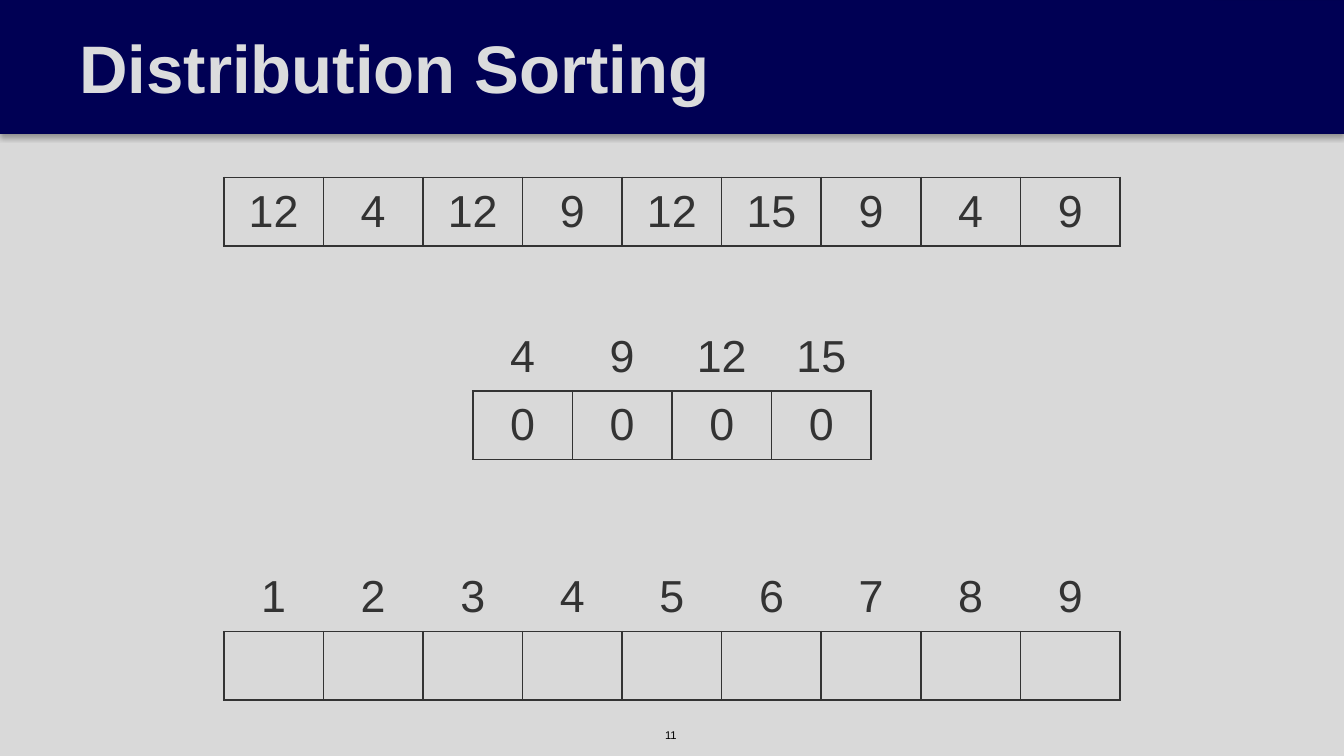
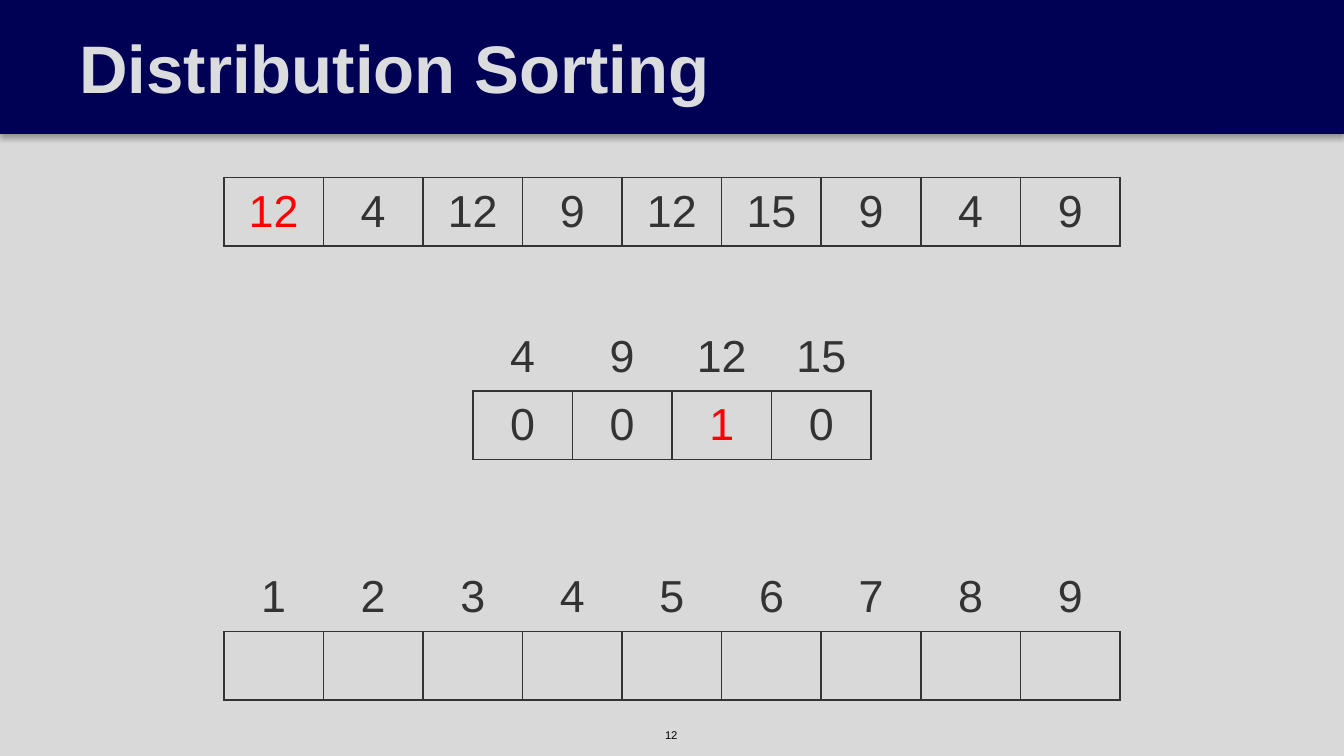
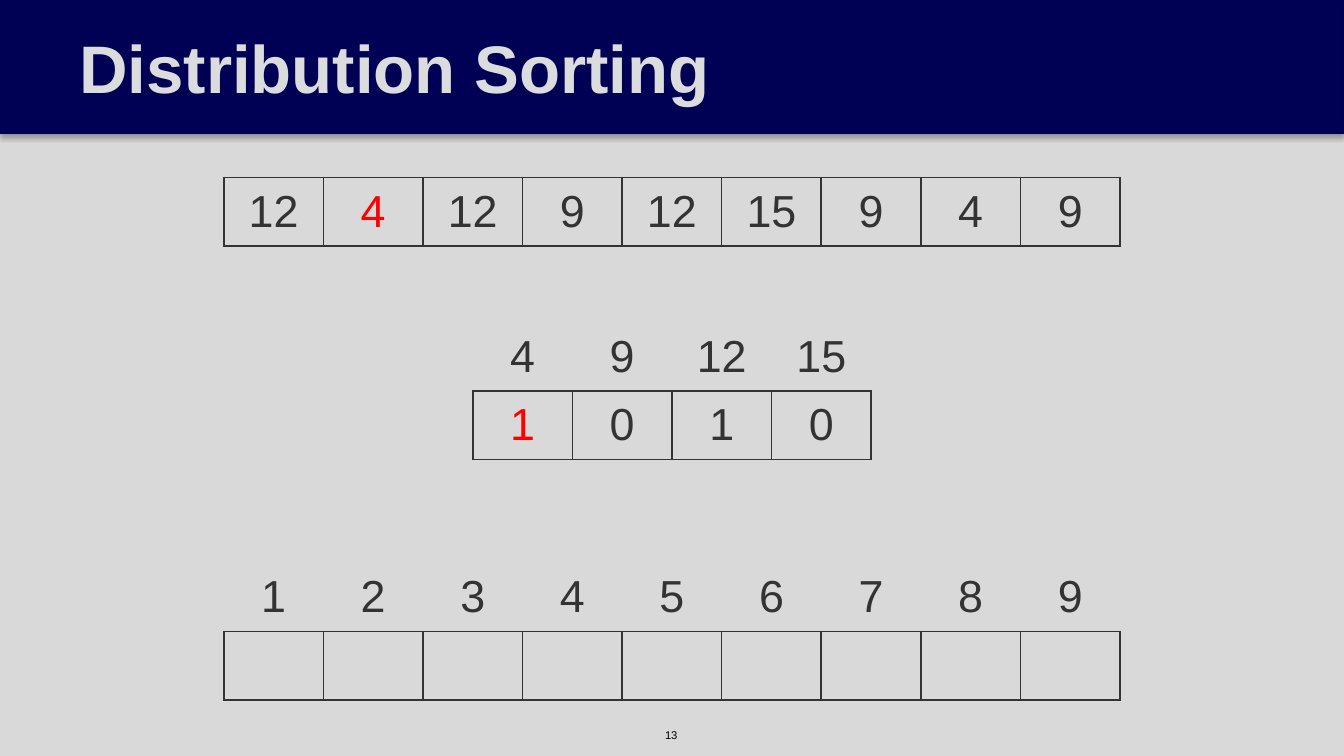
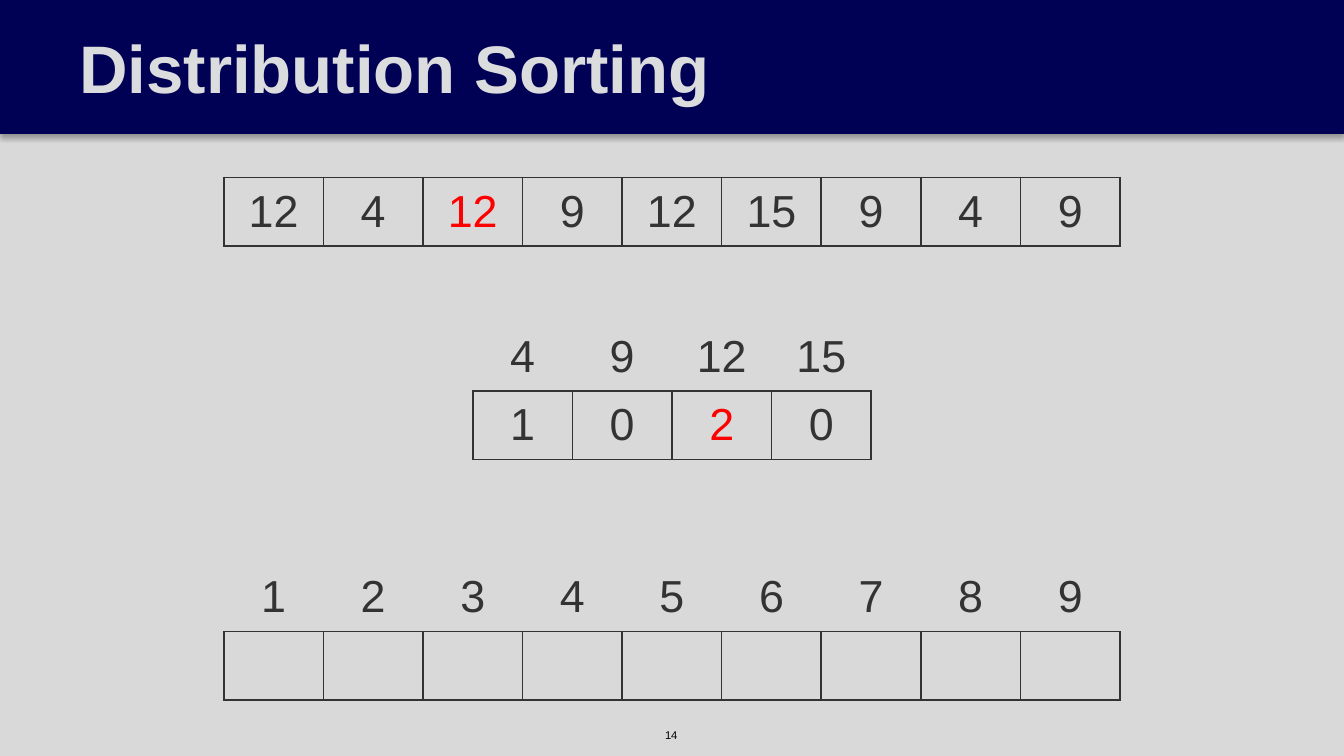
from lxml import etree
from pptx import Presentation
from pptx.dml.color import RGBColor as Rgb
from pptx.enum.shapes import MSO_SHAPE as Preset
from pptx.enum.text import MSO_ANCHOR as Anchor, PP_ALIGN as Align
from pptx.oxml import parse_xml
from pptx.oxml.ns import nsdecls, qn
from pptx.util import Inches, Pt

COLORS = {
    "background": "D9D9D9",
    "band": "000054",
    "band_edge": "000052",
    "title": "DBDCDD",
    "ink": "333333",
    "active": "FF0000",
    "number": "000000",
}
TITLE_FONT = {"name": "Arial", "size": Pt(36), "bold": True}
CELL_FONT = {"name": "Arial", "size": Pt(24)}
NUMBER_FONT = {"name": "Arial", "size": Pt(6)}

SLIDE_WIDTH = 10
SLIDE_HEIGHT = SLIDE_WIDTH * 9 / 16
BAND_HEIGHT = 0.99
CELL_WIDTH, CELL_HEIGHT = 6.67 / 9, 0.51
NO_TABLE_STYLE = "{2D5ABB26-0587-4C30-8999-92F81FD0307C}"

VALUES = [12, 4, 12, 9, 12, 15, 9, 4, 9]
KEYS = sorted(set(VALUES))
POSITIONS = list(range(1, len(VALUES) + 1))
FIRST_NUMBER = 11


def write(frame, text, font, color):
    para = frame.paragraphs[0]
    span = para.add_run()
    span.text = str(text)
    for name, value in font.items():
        setattr(span.font, name, value)
    span.font.color.rgb = Rgb.from_string(COLORS[color])
    return para


def add_array(page, top, cells, labels=None, active=None):
    """Draw a centred row of bordered cells, with optional labels above."""
    rows = [labels, cells] if labels else [cells]
    width = len(cells) * CELL_WIDTH
    frame = page.shapes.add_table(
        len(rows), len(cells), Inches((SLIDE_WIDTH - width) / 2), Inches(top),
        Inches(width), Inches(len(rows) * CELL_HEIGHT))
    table = frame.table
    table.first_row = table.horz_banding = False
    table._tbl.tblPr.find(qn("a:tableStyleId")).text = NO_TABLE_STYLE
    for column in table.columns:
        column.width = Inches(CELL_WIDTH)
    for row_index, row in enumerate(rows):
        table.rows[row_index].height = Inches(CELL_HEIGHT)
        is_array = row is cells
        for column_index, value in enumerate(row):
            cell = table.cell(row_index, column_index)
            cell.vertical_anchor = Anchor.MIDDLE
            cell.fill.background()
            if value != "":
                highlighted = is_array and column_index == active
                para = write(cell.text_frame, value, CELL_FONT,
                             "active" if highlighted else "ink")
                para.alignment = Align.CENTER
            # Labels only share the border below them
            sides = ["L", "R", "T", "B"] if is_array else ["B"]
            for place, side in enumerate(sides):
                cell._tc.get_or_add_tcPr().insert(place, parse_xml(
                    f'<a:ln{side} {nsdecls("a")} w="{Pt(1)}"><a:solidFill>'
                    f'<a:srgbClr val="{COLORS["ink"]}"/>'
                    f'</a:solidFill></a:ln{side}>'))


deck = Presentation()
deck.slide_width, deck.slide_height = Inches(SLIDE_WIDTH), Inches(SLIDE_HEIGHT)
counts = dict.fromkeys(KEYS, 0)

# One page for the start, then one for each value counted
for step in range(4):
    page = deck.slides.add_slide(deck.slide_layouts[6])
    page.background.fill.solid()
    page.background.fill.fore_color.rgb = Rgb.from_string(COLORS["background"])

    # Slide number
    box = page.shapes.add_textbox(
        Inches(4.85), Inches(5.37), Inches(0.3), Inches(0.2))
    box.text_frame.word_wrap = False
    write(box.text_frame, FIRST_NUMBER + step, NUMBER_FONT, "number")

    # Title band with a soft shadow below
    band = page.shapes.add_shape(
        Preset.RECTANGLE, 0, 0, Inches(SLIDE_WIDTH), Inches(BAND_HEIGHT))
    band.fill.solid()
    band.fill.fore_color.rgb = Rgb.from_string(COLORS["band"])
    band.line.color.rgb = Rgb.from_string(COLORS["band_edge"])
    band.line.width = Pt(0.75)
    band.shadow.inherit = False
    effects = band._element.spPr.find(qn("a:effectLst"))
    shadow = etree.SubElement(
        effects, qn("a:outerShdw"), blurRad=str(Pt(3.1)), dist=str(Pt(1.8)),
        dir="5400000", algn="t", rotWithShape="0")
    shade = etree.SubElement(shadow, qn("a:srgbClr"), val="000000")
    etree.SubElement(shade, qn("a:alpha"), val="35000")

    # Title
    title = page.shapes.add_textbox(0, 0, Inches(9.03), Inches(BAND_HEIGHT))
    title.fill.solid()
    title.fill.fore_color.rgb = Rgb.from_string(COLORS["band"])
    layout = {"word_wrap": True, "vertical_anchor": Anchor.MIDDLE,
              "margin_left": Inches(0.4), "margin_right": Inches(0.4),
              "margin_top": Inches(0.1), "margin_bottom": Inches(0.1)}
    for name, value in layout.items():
        setattr(title.text_frame, name, value)
    para = write(title.text_frame, "Distribution Sorting", TITLE_FONT, "title")
    para._p.get_or_add_pPr().set("marL", str(Inches(0.19)))

    # Count the value read in this step
    active_value = active_key = None
    if step > 0:
        active_value = step - 1
        counts[VALUES[active_value]] += 1
        active_key = KEYS.index(VALUES[active_value])

    # Input, counts and empty output
    add_array(page, 2.4, list(counts.values()), KEYS, active_key)
    add_array(page, 1.32, VALUES, active=active_value)
    add_array(page, 4.19, [""] * len(VALUES), POSITIONS)

deck.save("out.pptx")
